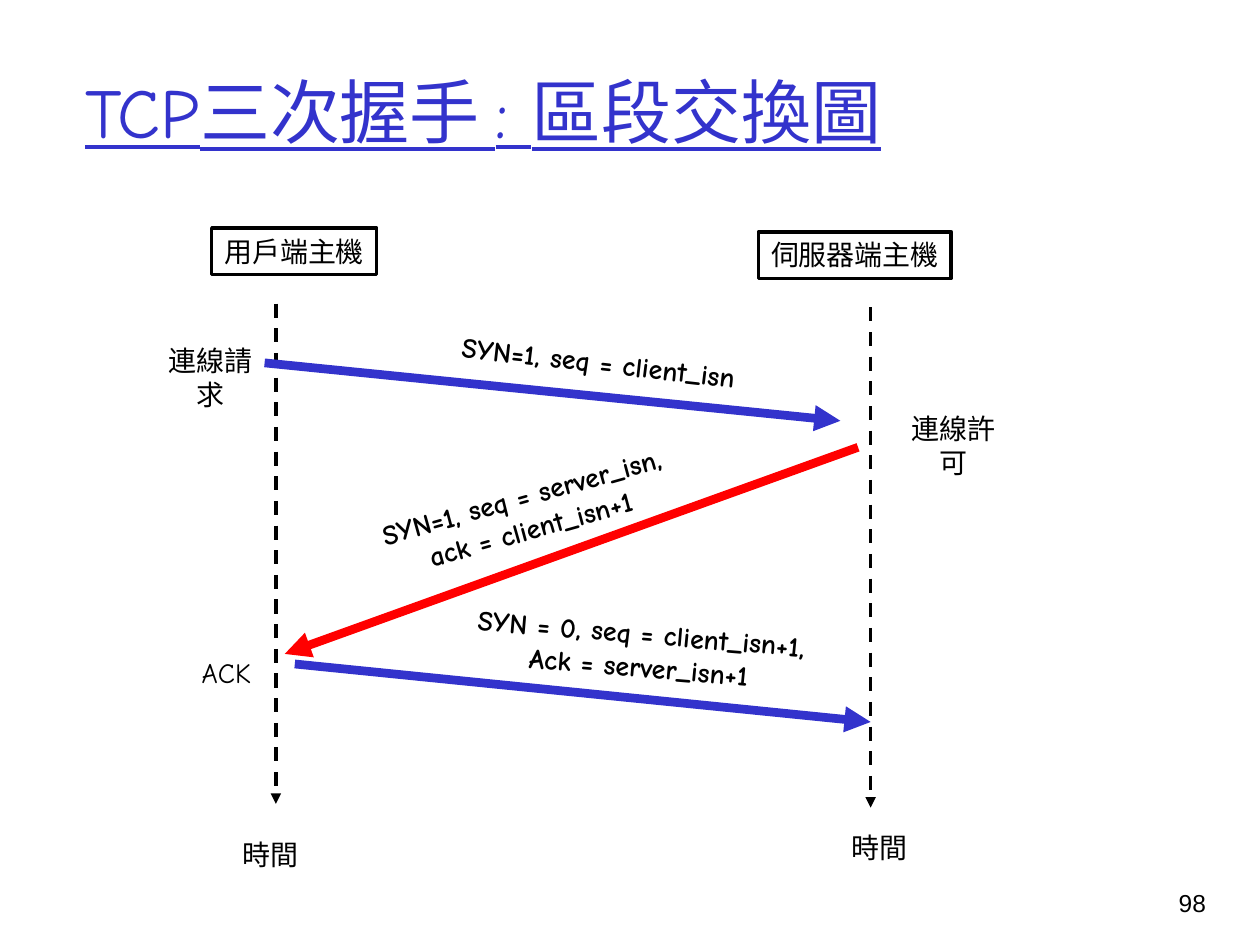
import pptx
import pptx.util
import pptx.dml.color
import pptx.enum.dml
import pptx.enum.shapes
import pptx.enum.text
import pptx.oxml
import pptx.oxml.ns
from pptx.util import Inches

HEX = {"ink": "000000", "blue": "3333CC", "red": "FF0000"}
FONT = "Comic Neue"
ALIGN = pptx.enum.text.PP_ALIGN
ANCHOR = pptx.enum.text.MSO_ANCHOR


def tint(name):
    return pptx.dml.color.RGBColor.from_string(HEX[name])


def write(shape, lines, size=16, color="ink", font=FONT, bold=False,
          under=False, align=ALIGN.CENTER, anchor=ANCHOR.TOP, wrap=False):
    """Fill a shape with one paragraph per line."""
    frame = shape.text_frame
    frame.word_wrap = wrap
    frame.vertical_anchor = anchor
    for i, line in enumerate(lines):
        para = frame.paragraphs[0] if i == 0 else frame.add_paragraph()
        para.alignment = align
        run = para.add_run()
        run.text = line
        run.font.size = pptx.util.Pt(size)
        run.font.name = font
        run.font.bold = bold
        run.font.underline = under
        run.font.color.rgb = tint(color)


def add_label(slide, box, *lines, turn=0, **style):
    label = slide.shapes.add_textbox(*map(Inches, box))
    write(label, lines, **style)
    label.rotation = turn


def add_host(slide, box, name):
    host = slide.shapes.add_shape(
        pptx.enum.shapes.MSO_SHAPE.RECTANGLE, *map(Inches, box))
    host.shadow.inherit = False
    host.fill.background()
    host.line.color.rgb = tint("ink")
    host.line.width = pptx.util.Pt(2)
    write(host, [name])


def add_arrow(slide, start, end, color, width, dash=False):
    arrow = slide.shapes.add_connector(
        pptx.enum.shapes.MSO_CONNECTOR.STRAIGHT, *map(Inches, start + end))
    arrow.line.color.rgb = tint(color)
    arrow.line.width = pptx.util.Pt(width)
    if dash:
        arrow.line.dash_style = pptx.enum.dml.MSO_LINE.DASH
    # Arrowhead, and no shadow
    make, qn = pptx.oxml.parse_xml, pptx.oxml.ns.qn
    space = pptx.oxml.ns.nsdecls("a")
    props = arrow.element.find(qn("p:spPr"))
    props.find(qn("a:ln")).append(make(f'<a:tailEnd {space} type="triangle"/>'))
    props.append(make(f"<a:effectLst {space}/>"))


def main():
    deck = pptx.Presentation()
    deck.slide_width, deck.slide_height = Inches(10), Inches(7.5)
    slide = deck.slides.add_slide(deck.slide_layouts[6])

    # Title
    add_label(slide, (0.58, 0.25, 8.5, 1.25), "TCP三次握手 : 區段交換圖",
              size=40, color="blue", under=True, align=ALIGN.LEFT,
              anchor=ANCHOR.MIDDLE, wrap=True)

    # Hosts
    add_host(slide, (1.68, 1.81, 1.31, 0.37), "用戶端主機")
    add_host(slide, (6.02, 1.84, 1.53, 0.37), "伺服器端主機")

    # Time lines
    for x, top in ((2.19, 2.41), (6.91, 2.44)):
        add_arrow(slide, (x, top), (x, top + 3.97), "ink", 2, dash=True)

    # Segments
    for start, end, color in (
        ((2.1, 2.88), (6.67, 3.34), "blue"),
        ((6.81, 3.55), (2.26, 5.19), "red"),
        ((2.34, 5.27), (6.91, 5.73), "blue"),
    ):
        add_arrow(slide, start, end, color, 5)

    # Events beside the time lines
    for x, y, width, text in (
        (1.83, 6.6, 0.64, "時間"),
        (6.66, 6.54, 0.64, "時間"),
        (7.03, 3.22, 1.08, "連線許可"),
        (1.13, 2.68, 1.08, "連線請求"),
        (1.5, 5.15, 0.59, "ACK"),
    ):
        add_label(slide, (x, y, width, 0.37), text)

    # Segment contents, turned along the arrows
    for box, turn, lines in (
        ((3.56, 2.69, 2.38, 0.37), 6.4, ["SYN=1, seq = client_isn"]),
        ((2.93, 3.75, 2.49, 0.64), 344.2,
         ["SYN=1, seq = server_isn,", "ack = client_isn+1"]),
        ((3.68, 4.84, 2.8, 0.64), 4.7,
         ["SYN = 0, seq = client_isn+1,", "Ack = server_isn+1"]),
    ):
        add_label(slide, box, *lines, turn=turn, bold=True)

    # Page number
    add_label(slide, (8.93, 7, 0.74, 0.5), "98", size=14, font="Arial",
              align=ALIGN.RIGHT, wrap=True)

    deck.save("out.pptx")


if __name__ == "__main__":
    main()
